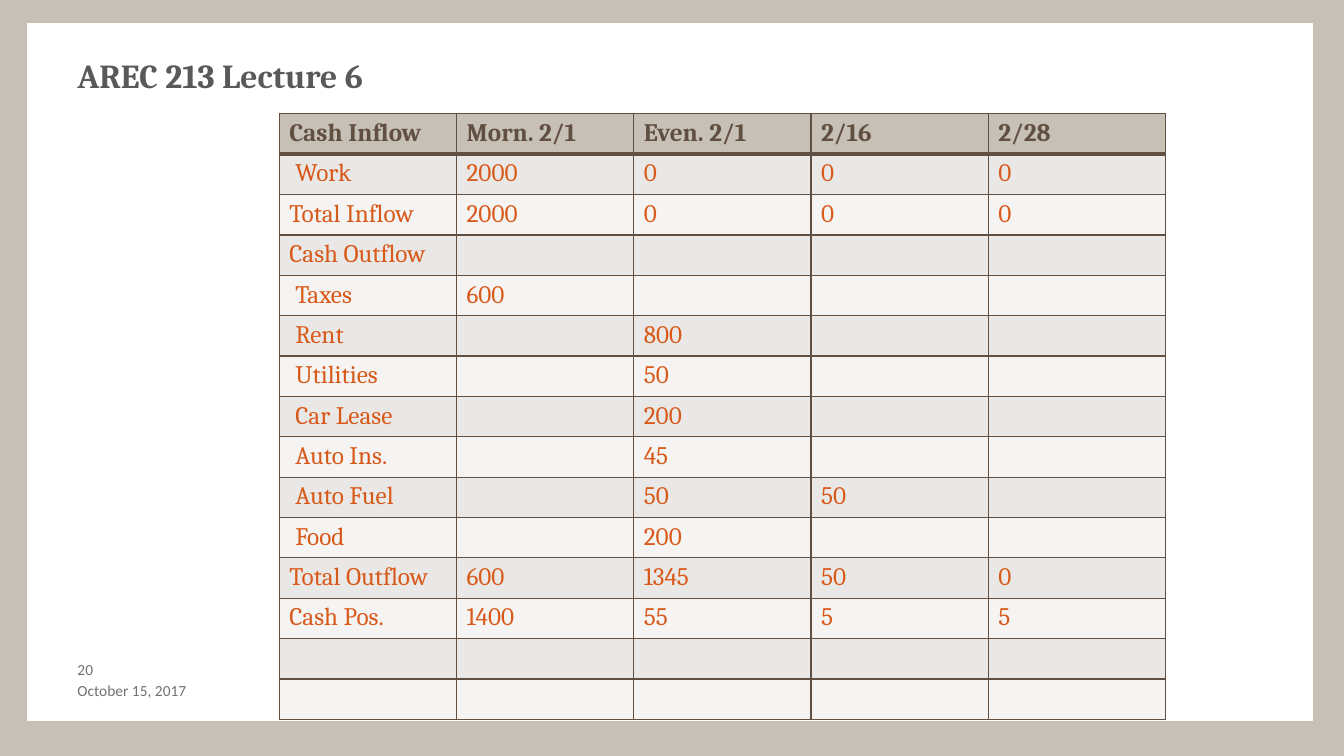
from lxml.etree import SubElement
from pptx import Presentation
from pptx.dml.color import RGBColor
from pptx.enum.shapes import MSO_SHAPE
from pptx.enum.text import MSO_ANCHOR
from pptx.oxml.ns import qn
from pptx.util import Inches, Pt

COLORS = {
    "border": "C6C0B7", "page": "FFFFFF", "title": "595959", "footer": "717171",
    "header": "C6C0B7", "header_text": "615042", "grid": "615042",
    "odd_row": "EAE8E6", "even_row": "F5F4F3", "entry": "D85A1A",
}


def color(name):
    return RGBColor.from_string(COLORS[name])


def style(paragraph, size, typeface, color_name, bold=False):
    font = paragraph.font
    font.size = Pt(size)
    font.name = typeface
    font.bold = bold
    font.color.rgb = color(color_name)


prs = Presentation()
prs.slide_width = Inches(13.33)
prs.slide_height = Inches(7.5)
slide = prs.slides.add_slide(prs.slide_layouts[6])
slide.background.fill.solid()
slide.background.fill.fore_color.rgb = color("border")

page = slide.shapes.add_shape(
    MSO_SHAPE.RECTANGLE, Inches(0.27), Inches(0.23), Inches(12.75), Inches(6.92))
page.shadow.inherit = False
page.fill.solid()
page.fill.fore_color.rgb = color("page")
page.line.color.rgb = color("page")
page.line.width = Pt(0.75)

labels = [
    ("AREC 213 Lecture 6", 0.5, 12, 0.75, 0.05, MSO_ANCHOR.TOP, 24, "Cambria", "title", True),
    ("October 15, 2017", 6.75, 2.67, 0.2, 0, MSO_ANCHOR.MIDDLE, 11, "Calibri", "footer", False),
    ("20", 6.55, 0.53, 0.2, 0, MSO_ANCHOR.TOP, 11, "Calibri", "footer", False),
]
for text, top, width, height, inset, anchor, size, typeface, color_name, bold in labels:
    label = slide.shapes.add_textbox(Inches(0.67), Inches(top), Inches(width), Inches(height))
    frame = label.text_frame
    frame.word_wrap = True
    frame.vertical_anchor = anchor
    frame.margin_top = frame.margin_bottom = Inches(inset)
    frame.text = text
    style(frame.paragraphs[0], size, typeface, color_name, bold)

cash_flow = [
    ["Cash Inflow", "Morn. 2/1", "Even. 2/1", "2/16", "2/28"],
    ["Work", "2000", "0", "0", "0"],
    ["Total Inflow", "2000", "0", "0", "0"],
    ["Cash Outflow", "", "", "", ""],
    ["Taxes", "600", "", "", ""],
    ["Rent", "", "800", "", ""],
    ["Utilities", "", "50", "", ""],
    ["Car Lease", "", "200", "", ""],
    ["Auto Ins.", "", "45", "", ""],
    ["Auto Fuel", "", "50", "50", ""],
    ["Food", "", "200", "", ""],
    ["Total Outflow", "600", "1345", "50", "0"],
    ["Cash Pos.", "1400", "55", "5", "5"],
    ["", "", "", "", ""],
    ["", "", "", "", ""],
]
sub_items = {"Work", "Taxes", "Rent", "Utilities", "Car Lease", "Auto Ins.", "Auto Fuel", "Food"}
row_height = Inches(0.39)
budget = slide.shapes.add_table(
    len(cash_flow), 5, Inches(2.77), Inches(1.13), Inches(8.79),
    row_height * len(cash_flow)).table

for row, entries in enumerate(cash_flow):
    budget.rows[row].height = row_height
    is_header = row == 0
    fill_name = "header" if is_header else "odd_row" if row % 2 else "even_row"
    for column, entry in enumerate(entries):
        cell = budget.cell(row, column)
        cell.text = entry
        if entry in sub_items:
            cell.margin_left = Inches(0.16)
        style(cell.text_frame.paragraphs[0], 18, "Cambria",
              "header_text" if is_header else "entry", is_header)
        for side in ("lnL", "lnR", "lnT", "lnB"):
            under_header = (row, side) in ((0, "lnB"), (1, "lnT"))
            edge = SubElement(cell._tc.get_or_add_tcPr(), qn(f"a:{side}"),
                              w=str(Pt(3 if under_header else 1)))
            edge_fill = SubElement(edge, qn("a:solidFill"))
            SubElement(edge_fill, qn("a:srgbClr"), val=COLORS["grid"])
        cell.fill.solid()
        cell.fill.fore_color.rgb = color(fill_name)

prs.save("out.pptx")
